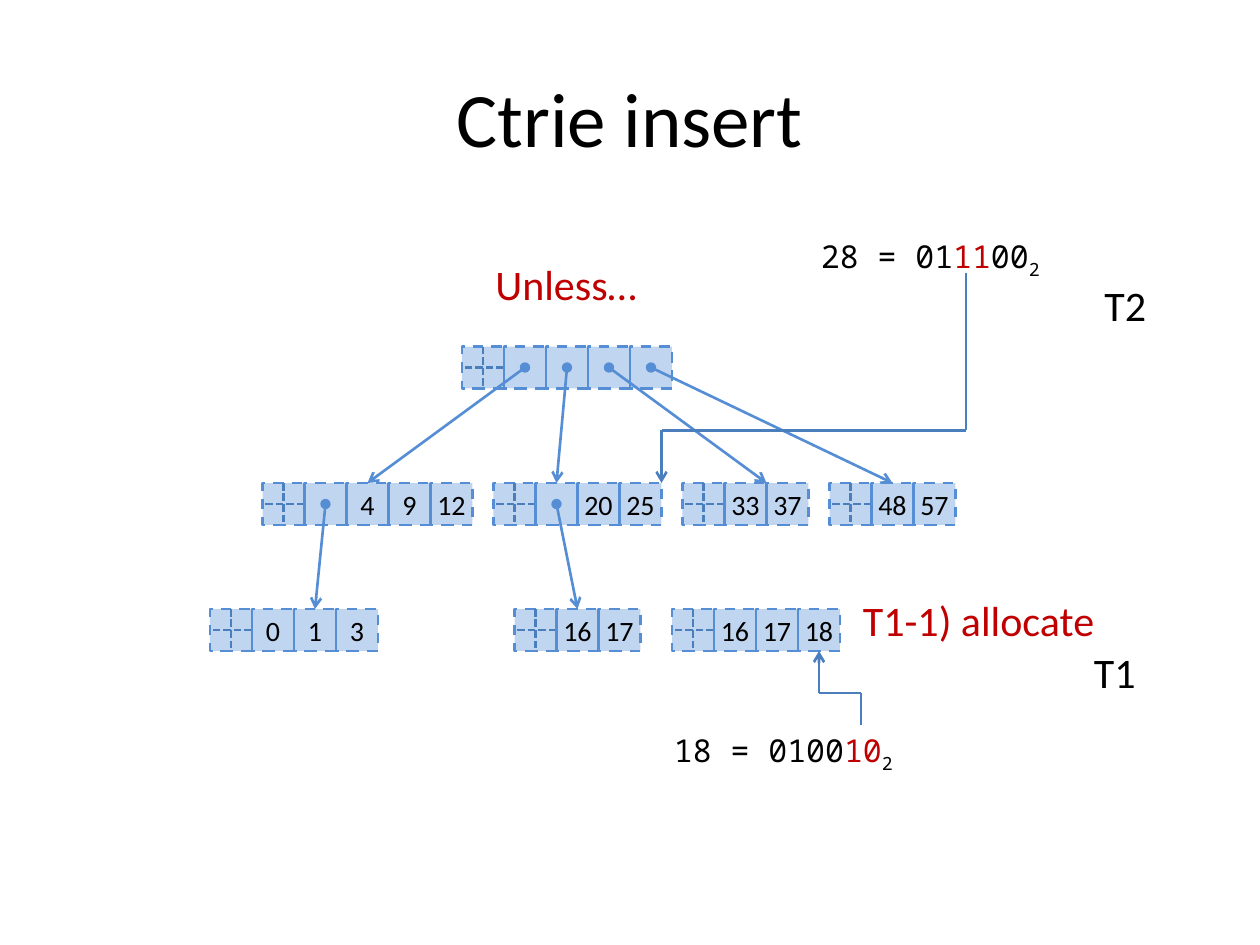
from pptx import Presentation
from pptx.dml.color import RGBColor
from pptx.enum.dml import MSO_LINE
from pptx.enum.shapes import MSO_CONNECTOR, MSO_SHAPE
from pptx.enum.text import MSO_ANCHOR, MSO_AUTO_SIZE, PP_ALIGN
from pptx.oxml.ns import qn
from pptx.util import Inches, Pt
from lxml import etree

RECT, LINE = MSO_SHAPE.RECTANGLE, MSO_CONNECTOR.STRAIGHT
DASH, DOTS = MSO_LINE.DASH, MSO_LINE.SQUARE_DOT
MID, TOP, CENTER, LEFT = MSO_ANCHOR.MIDDLE, MSO_ANCHOR.TOP, PP_ALIGN.CENTER, PP_ALIGN.LEFT
GROW = MSO_AUTO_SIZE.SHAPE_TO_FIT_TEXT

SANS, MONO = "Calibri", "Noto Sans Mono"
BLACK, RED, BLUE, STEEL = "000000", "C00000", "558ED5", "4B7EBC"
CELL = 4  # grid units per cell; 12 units to the inch

# Nodes: column, row, cells after the header; an empty cell holds a pointer
NODES = {
    "root": (44, 33, ["", "", "", ""]),
    "a": (25, 46, ["", "4", "9", "12"]),
    "b": (47, 46, ["", "20", "25"]),
    "c": (65, 46, ["33", "37"]),
    "d": (79, 46, ["48", "57"]),
    "a0": (20, 58, ["0", "1", "3"]),
    "b0": (49, 58, ["16", "17"]),
    "new": (64, 58, ["16", "17", "18"]),
}
# Pointers: node, cell, child, entry offset along the child's top
LINKS = [
    ("root", 1, "a", 10), ("root", 2, "b", 6), ("root", 3, "c", 8),
    ("root", 4, "d", 6), ("a", 1, "a0", 10), ("b", 1, "b0", 6),
]
# Bent arrows from the keys to their slots
PATHS = [
    [(82, 69), (82, 66), (78, 66), (78, 62)],
    [(92, 26), (92, 41), (63, 41), (63, 46)],
]
# Labels: place in units, size, font, wrap, runs (text, colour, subscript)
LABELS = [
    ((63, 69, 28, 4.8), 18, MONO, True,
     [("18 = 0100", BLACK, 0), ("10", RED, 0), ("2", BLACK, 1)]),
    ((77, 22, 28, 4.8), 18, MONO, True,
     [("28 = 01", BLACK, 0), ("11", RED, 0), ("00", BLACK, 0), ("2", BLACK, 1)]),
    ((81, 56, 24.6, 6.1), 24, SANS, False, [("T1-1) allocate", RED, 0)]),
    ((46, 24, 16.3, 6.1), 24, SANS, False, [("Unless…", RED, 0)]),
    ((103, 61, 6.5, 6.1), 24, SANS, False, [("T1", BLACK, 0)]),
    ((104, 26, 6.5, 6.1), 24, SANS, False, [("T2", BLACK, 0)]),
]


def unit(n):
    return Inches(n / 12)


def color(code):
    return RGBColor.from_string(code)


def write(frame, runs, size, font, wrap, align=LEFT, anchor=TOP):
    frame.word_wrap, frame.vertical_anchor = wrap, anchor
    par = frame.paragraphs[0]
    par.alignment = align
    for text, hue, sub in runs:
        run = par.add_run()
        run.text = text
        run.font.size, run.font.name = Pt(size), font
        run.font.color.rgb = color(hue)
        if sub:
            run.font._element.set("baseline", "-25000")


def stroke(line, hue, dash=None):
    line.color.rgb, line.width = color(hue), Pt(1.5)
    if dash:
        line.dash_style = dash


def draw(shapes, start, end, hue, dash=None, head=None, tail=None):
    wire = shapes.add_connector(LINE, *map(unit, start + end))
    stroke(wire.line, hue, dash)
    for tag, kind in (("a:headEnd", head), ("a:tailEnd", tail)):
        if kind:
            etree.SubElement(wire.line._get_or_add_ln(), qn(tag), type=kind)
    etree.SubElement(wire._element.spPr, qn("a:effectLst"))


def cell(shapes, x, y, text=""):
    box = shapes.add_shape(RECT, *map(unit, (x, y, CELL, CELL)))
    box.shadow.inherit = False
    box.fill.solid()
    box.fill.fore_color.rgb = color(BLUE)
    tint = box._element.spPr.find(qn("a:solidFill"))[0]
    etree.SubElement(tint, qn("a:alpha"), val="37000")
    stroke(box.line, BLUE, DASH)
    if text:
        write(box.text_frame, [(text, BLACK, 0)], 16, SANS, False, CENTER, MID)


def header(shapes, x, y):
    group = shapes.add_group_shape().shapes
    half = CELL / 2
    cell(group, x, y)
    draw(group, (x + half, y), (x + half, y + CELL), STEEL, DOTS)
    draw(group, (x + CELL, y + half), (x, y + half), STEEL, DOTS)


def main():
    deck = Presentation()
    deck.slide_width, deck.slide_height = Inches(10), Inches(7.5)
    shapes = deck.slides.add_slide(deck.slide_layouts[6]).shapes

    # Title
    title = shapes.add_textbox(*map(Inches, (0.5, 0.3, 9, 1.25)))
    write(title.text_frame, [("Ctrie insert", BLACK, 0)], 44, SANS, True, CENTER, MID)

    # Trie nodes
    for x, y, keys in NODES.values():
        header(shapes, x, y)
        for i, key in enumerate(keys, 1):
            cell(shapes, x + i * CELL, y, key)

    # Pointers between nodes
    for name, slot, child, shift in LINKS:
        x, y, _ = NODES[name]
        left, top, _ = NODES[child]
        start = (x + (slot + 0.5) * CELL, y + CELL / 2)
        draw(shapes, start, (left + shift, top), BLUE, head="oval", tail="arrow")

    # Labels
    for place, size, font, wrap, runs in LABELS:
        box = shapes.add_textbox(*map(unit, place))
        write(box.text_frame, runs, size, font, wrap)
        box.text_frame.auto_size = GROW

    # Bent arrows, with the head on the last leg
    for path in PATHS:
        for start, end in zip(path, path[1:]):
            draw(shapes, start, end, STEEL, tail="arrow" if end == path[-1] else None)

    deck.save("out.pptx")


if __name__ == "__main__":
    main()
